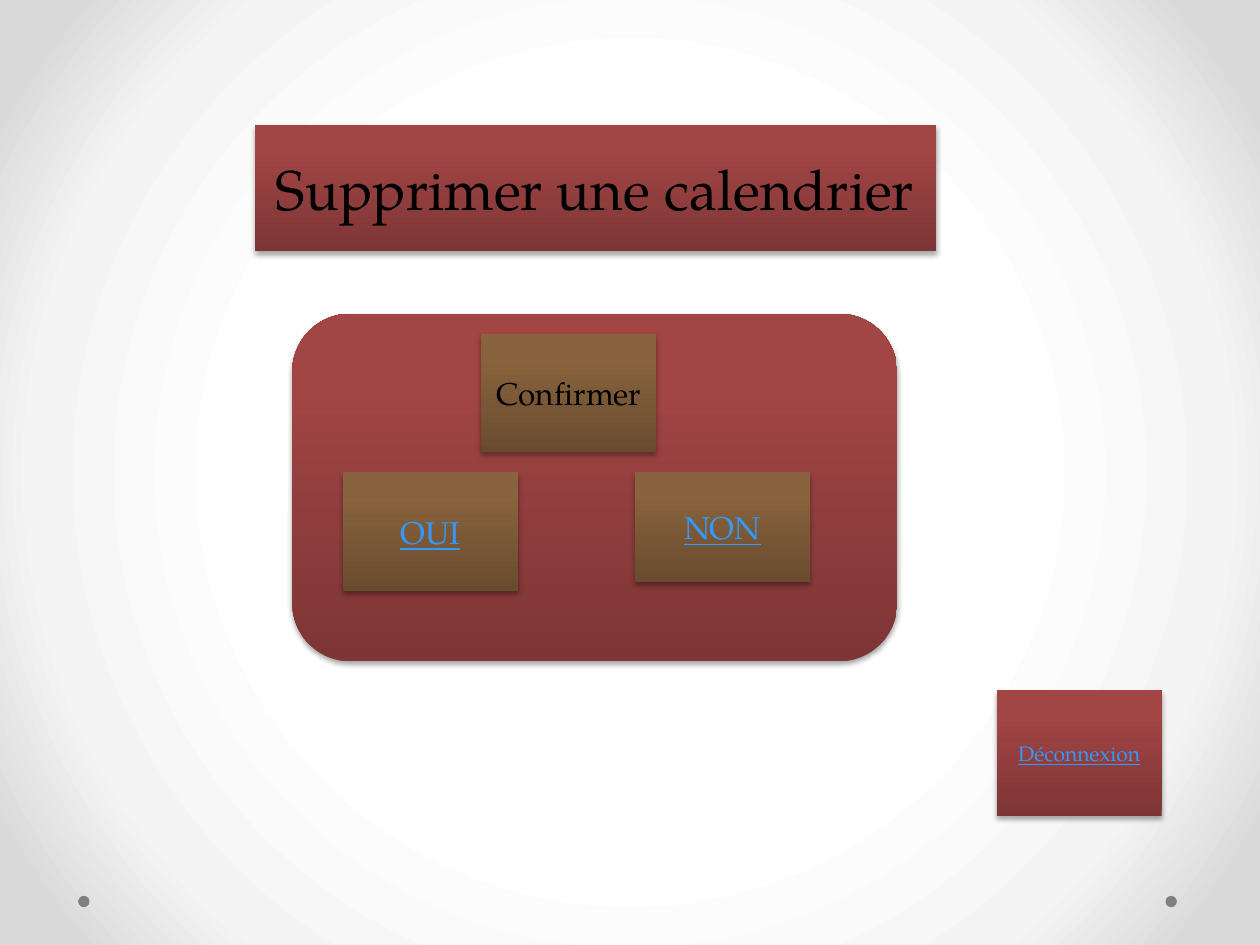
from lxml import etree
from pptx import Presentation
from pptx import util as u
from pptx.dml.color import RGBColor
from pptx.enum import shapes, text
from pptx.oxml import parse_xml
from pptx.oxml.ns import nsdecls, qn

RED = [(0, "7D3535"), (80, "A24545"), (100, "A44343")]
BROWN = [(0, "694C2F"), (80, "89633D"), (100, "8B633C")]
BACKDROP = [(50, "FFFFFF"), (76, "F4F4F4"), (92, "DADADA")]
UPWARD = '<a:lin ang="16200000" scaled="0"/>'
RADIAL = ('<a:path path="circle"><a:fillToRect l="50000" t="50000" '
          'r="50000" b="50000"/></a:path>')
LABEL = {"size": u.Pt(18), "name": "TeX Gyre Pagella", "underline": False}
LINK = {**LABEL, "underline": True}
BLACK, BLUE, GREY = "000000", "3399FF", "808080"


def colour(value):
    return RGBColor.from_string(value)


class Page:
    """Holds the current slide and its gradient and shadow style."""

    def __init__(self, slide):
        self.slide = slide

    def gradient(self, owner, fill, stops, direction):
        fill.gradient()
        old = owner.find(".//" + qn("a:gradFill"))
        marks = "".join(
            f'<a:gs pos="{pos * 1000}"><a:srgbClr val="{value}"/></a:gs>'
            for pos, value in stops)
        old.getparent().replace(old, parse_xml(
            f'<a:gradFill {nsdecls("a")} rotWithShape="1">'
            f'<a:gsLst>{marks}</a:gsLst>{direction}</a:gradFill>'))

    def background(self, stops):
        self.gradient(self.slide.element, self.slide.background.fill,
                      stops, RADIAL)

    def shape(self, kind, box):
        shape = self.slide.shapes.add_shape(kind, *map(u.Inches, box))
        shape.line.fill.background()
        shape.shadow.inherit = False
        return shape

    def dot(self, left, top, size):
        dot = self.shape(shapes.MSO_SHAPE.OVAL, (left, top, size, size))
        dot.fill.solid()
        dot.fill.fore_color.rgb = colour(GREY)

    def panel(self, box, stops, kind=shapes.MSO_SHAPE.RECTANGLE):
        panel = self.shape(kind, box)
        self.gradient(panel.element, panel.fill, stops, UPWARD)
        effects = panel.element.find(".//" + qn("a:effectLst"))
        shadow = etree.SubElement(
            effects, qn("a:outerShdw"), blurRad=str(u.Pt(3.1)),
            dist=str(u.Pt(1.8)), dir="5400000", rotWithShape="0")
        tint = etree.SubElement(shadow, qn("a:srgbClr"), val=BLACK)
        etree.SubElement(tint, qn("a:alpha"), val="35000")
        return panel

    def button(self, box, stops, wording, ink, style):
        frame = self.panel(box, stops).text_frame
        frame.word_wrap = True
        frame.vertical_anchor = text.MSO_ANCHOR.MIDDLE
        paragraph = frame.paragraphs[0]
        paragraph.alignment = text.PP_ALIGN.CENTER
        run = paragraph.add_run()
        run.text = wording
        for key, value in style.items():
            setattr(run.font, key, value)
        run.font.color.rgb = colour(ink)


def main():
    deck = Presentation()
    deck.slide_width, deck.slide_height = u.Inches(10), u.Inches(7.5)
    page = Page(deck.slides.add_slide(deck.slide_layouts[6]))

    # Backdrop with its two corner dots
    page.background(BACKDROP)
    for left in (9.25, 0.62):
        page.dot(left, 7.11, 0.09)

    # Confirmation dialog
    page.panel((2.32, 2.49, 4.8, 2.76), RED,
               shapes.MSO_SHAPE.ROUNDED_RECTANGLE)
    for left, top, height, wording, ink, style in (
            (2.72, 3.75, 0.94, "OUI", BLUE, LINK),
            (5.04, 3.75, 0.87, "NON", BLUE, LINK),
            (3.82, 2.65, 0.94, "Confirmer", BLACK, LABEL)):
        page.button((left, top, 1.39, height), BROWN, wording, ink, style)

    # Sign-out button and title
    page.button((7.91, 5.48, 1.31, 1), RED, "Déconnexion", BLUE,
                {**LINK, "size": u.Pt(12)})
    page.button((2.02, 0.99, 5.41, 1), RED, "Supprimer une calendrier", BLACK,
                {**LABEL, "size": u.Pt(32)})

    deck.save("out.pptx")


if __name__ == "__main__":
    main()
